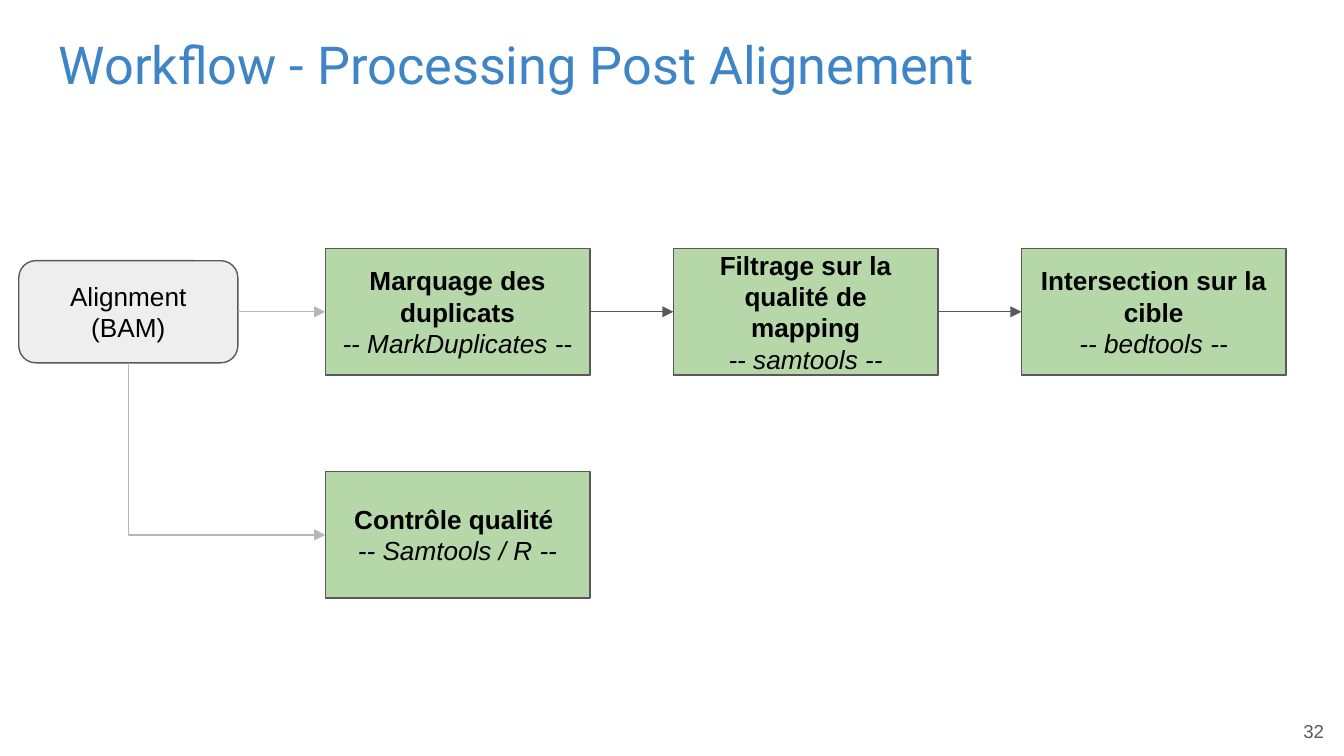
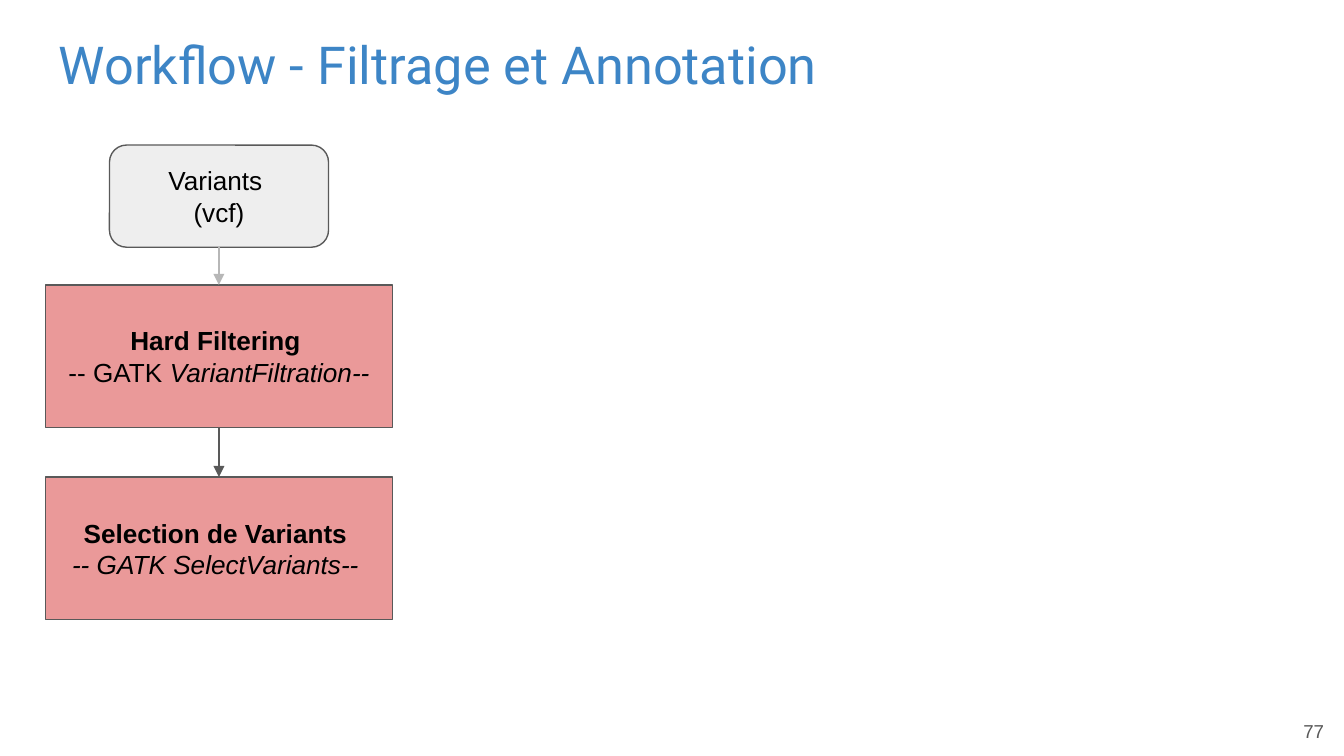
import pptx
import pptx.dml.color
import pptx.enum.shapes
import pptx.enum.text
import pptx.oxml
import pptx.oxml.ns
import pptx.util
from dataclasses import dataclass

Inches = pptx.util.Inches
Pt = pptx.util.Pt
MSO_SHAPE = pptx.enum.shapes.MSO_SHAPE
MSO_CONNECTOR = pptx.enum.shapes.MSO_CONNECTOR
PP_ALIGN = pptx.enum.text.PP_ALIGN
MSO_ANCHOR = pptx.enum.text.MSO_ANCHOR
qn = pptx.oxml.ns.qn

TOP, LEFT, BOTTOM, RIGHT = range(4)


@dataclass(frozen=True)
class Theme:
    title_color: str = "3D85C6"
    ink: str = "000000"
    dark: str = "595959"
    pale: str = "B7B7B7"
    data_fill: str = "EEEEEE"
    green: str = "B6D7A8"
    red: str = "EA9999"
    title_font: str = "Roboto"
    font: str = "Arial"
    title_size: int = 28
    body_size: int = 14
    number_size: int = 10
    line_width: float = 0.75


def rgb(value):
    return pptx.dml.color.RGBColor.from_string(value)


def write_text(tf, paragraphs, *, size, color, font, align=PP_ALIGN.LEFT,
               anchor=MSO_ANCHOR.TOP):
    tf.word_wrap = True
    tf.vertical_anchor = anchor
    tf.margin_left = tf.margin_right = Inches(0.1)
    tf.margin_top = tf.margin_bottom = Inches(0.1)
    for i, runs in enumerate(paragraphs):
        p = tf.paragraphs[0] if i == 0 else tf.add_paragraph()
        p.alignment = align
        for text, style in runs:
            r = p.add_run()
            r.text = text
            r.font.name = font
            r.font.size = Pt(size)
            r.font.color.rgb = rgb(color)
            r.font.bold = style == "bold"
            r.font.italic = style == "italic"


class Deck:
    DATA_W, DATA_H = 1.63, 0.76

    def __init__(self, theme):
        self.theme = theme
        self.prs = pptx.Presentation()
        self.prs.slide_width = Inches(10)
        self.prs.slide_height = Inches(10 * 9 / 16)
        self.s = None

    def slide(self, title, number):
        t = self.theme
        self.s = self.prs.slides.add_slide(self.prs.slide_layouts[6])
        self.text(title, 0.34, 0.14, 9.32, 0.63, size=t.title_size,
                  color=t.title_color, font=t.title_font)
        self.text(str(number), 9.35, 5.18, 0.6, 0.43, size=t.number_size,
                  color=t.dark, font=t.font, align=PP_ALIGN.RIGHT,
                  anchor=MSO_ANCHOR.BOTTOM)

    def text(self, text, x, y, w, h, **fmt):
        sp = self.s.shapes.add_textbox(Inches(x), Inches(y), Inches(w), Inches(h))
        write_text(sp.text_frame, [[(text, "plain")]], **fmt)

    def box(self, shape, paragraphs, x, y, w, h, fill):
        t = self.theme
        sp = self.s.shapes.add_shape(shape, Inches(x), Inches(y), Inches(w), Inches(h))
        sp.shadow.inherit = False
        sp.fill.solid()
        sp.fill.fore_color.rgb = rgb(fill)
        sp.line.color.rgb = rgb(t.dark)
        sp.line.width = Pt(t.line_width)
        write_text(sp.text_frame, paragraphs, size=t.body_size, color=t.ink,
                   font=t.font, align=PP_ALIGN.CENTER, anchor=MSO_ANCHOR.MIDDLE)
        return sp

    def data(self, lines, x, y):
        return self.box(MSO_SHAPE.ROUNDED_RECTANGLE, [[(line, "plain")] for line in lines],
                        x, y, self.DATA_W, self.DATA_H, self.theme.data_fill)

    def step(self, name, tool, x, y, w, h, fill):
        return self.box(MSO_SHAPE.RECTANGLE, [[(name, "bold")], tool], x, y, w, h, fill)

    def arrow(self, start, start_site, end, end_site, color):
        sp = self.s.shapes.add_connector(MSO_CONNECTOR.ELBOW, 0, 0, 0, 0)
        sp.begin_connect(start, start_site)
        sp.end_connect(end, end_site)
        sp.line.color.rgb = rgb(color)
        sp.line.width = Pt(self.theme.line_width)
        spPr = sp._element.spPr
        ns = pptx.oxml.ns.nsdecls("a")
        spPr.find(qn("a:ln")).append(
            pptx.oxml.parse_xml(f'<a:tailEnd {ns} type="triangle"/>'))
        spPr.append(pptx.oxml.parse_xml(f"<a:effectLst {ns}/>"))
        if start_site == BOTTOM:
            self.turn_down(sp)
        if end_site - start_site not in (2, -2):
            self.single_bend(sp, start_site, end_site)
        return sp

    def turn_down(self, sp):
        x, y, dx, dy = sp.left, sp.top, sp.width, sp.height
        sp.left, sp.top = x + (dx - dy) // 2, y + (dy - dx) // 2
        sp.width, sp.height = dy, dx
        xfrm = sp._element.spPr.find(qn("a:xfrm"))
        xfrm.set("rot", str(270 * 60000))
        xfrm.set("flipH", "1")

    def single_bend(self, sp, start_site, end_site):
        if (start_site, end_site) == (BOTTOM, LEFT):
            sp._element.spPr.find(qn("a:prstGeom")).set("prst", "bentConnector2")


def post_alignment(deck):
    t = deck.theme
    deck.slide("Workflow - Processing Post Alignement", 32)
    x, pitch, y, w, h = 2.42, 2.59, 1.85, 1.97, 0.94
    alignment = deck.data(["Alignment (BAM)"], 0.14, y + (h - deck.DATA_H) / 2)
    steps = [
        ("Marquage des duplicats", "-- MarkDuplicates --"),
        ("Filtrage sur la qualité de mapping", "-- samtools --"),
        ("Intersection sur la cible", "-- bedtools --"),
    ]
    previous, color = alignment, t.pale
    for i, (name, tool) in enumerate(steps):
        sp = deck.step(name, [(tool, "italic")], x + i * pitch, y, w, h, t.green)
        deck.arrow(previous, RIGHT, sp, LEFT, color)
        previous, color = sp, t.dark
    quality = deck.step("Contrôle qualité ", [("-- Samtools / R --", "italic")],
                        x, 3.51, w, h, t.green)
    deck.arrow(alignment, BOTTOM, quality, LEFT, t.pale)


def filtering(deck):
    t = deck.theme
    deck.slide("Workflow - Filtrage et Annotation", 77)
    x, y, pitch, w, h = 0.34, 2.12, 1.43, 2.58, 1.06
    variants = deck.data(["Variants ", "(vcf)"], x + (w - deck.DATA_W) / 2, 1.08)
    steps = [
        ("Hard Filtering ", [("-- GATK ", "plain"), ("VariantFiltration--", "italic")]),
        ("Selection de Variants ", [("-- GATK SelectVariants-- ", "italic")]),
    ]
    previous, color = variants, t.pale
    for i, (name, tool) in enumerate(steps):
        sp = deck.step(name, tool, x, y + i * pitch, w, h, t.red)
        deck.arrow(previous, BOTTOM, sp, TOP, color)
        previous, color = sp, t.dark


def main():
    deck = Deck(Theme())
    post_alignment(deck)
    filtering(deck)
    deck.prs.save("out.pptx")


if __name__ == "__main__":
    main()
